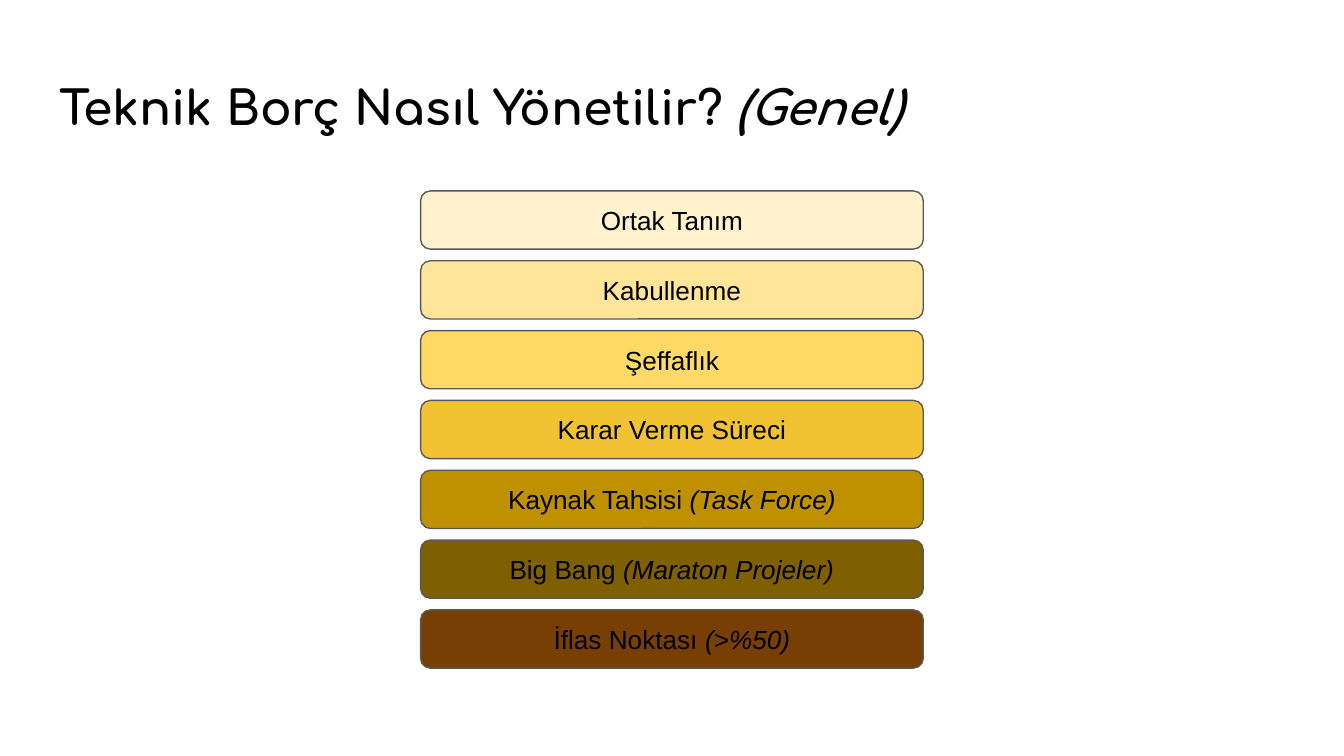
from pptx import Presentation
from pptx.dml.color import RGBColor
from pptx.enum.shapes import MSO_SHAPE
from pptx.enum.text import MSO_ANCHOR, PP_ALIGN
from pptx.util import Cm, Pt

STEPS = [
    ("Ortak Tanım", "", "FFF2CC"),
    ("Kabullenme", "", "FFE599"),
    ("Şeffaflık", "", "FFD966"),
    ("Karar Verme Süreci", "", "F1C232"),
    ("Kaynak Tahsisi ", "(Task Force)", "BF9000"),
    ("Big Bang ", "(Maraton Projeler)", "7F6000"),
    ("İflas Noktası ", "(>%50)", "783F04"),
]
FIRST_TOP = 3.61
STEP_PITCH = 1.32


def color(hex_string):
    return RGBColor.from_string(hex_string)


class SlideBuilder:
    title_font = "Comfortaa"
    body_font = "Arial"
    text_color = "000000"
    line_color = "595959"
    inset = Cm(0.25)

    def __init__(self, slide):
        self.slide = slide

    def set_text(self, shape, text, aside, font_name, size, bold=False):
        """Put text in the shape, followed by an aside in italics."""
        frame = shape.text_frame
        frame.word_wrap = True
        frame.margin_left = frame.margin_right = self.inset
        frame.margin_top = frame.margin_bottom = self.inset
        paragraph = frame.paragraphs[0]
        paragraph.text = text
        if aside:
            run = paragraph.add_run()
            run.text = aside
            run.font.italic = True
        for run in paragraph.runs:
            run.font.name = font_name
            run.font.size = Pt(size)
            run.font.bold = bold
            run.font.color.rgb = color(self.text_color)
        return paragraph

    def title(self, text, aside):
        box = self.slide.shapes.add_textbox(Cm(0.87), Cm(1.24), Cm(23.67), Cm(1.6))
        self.set_text(box, text, aside, self.title_font, 25.2, bold=True)

    def step(self, top, text, aside, fill):
        bar = self.slide.shapes.add_shape(
            MSO_SHAPE.ROUNDED_RECTANGLE, Cm(7.95), Cm(top), Cm(9.5), Cm(1.1)
        )
        bar.shadow.inherit = False
        bar.fill.solid()
        bar.fill.fore_color.rgb = color(fill)
        bar.line.color.rgb = color(self.line_color)
        bar.line.width = Pt(0.75)
        bar.text_frame.vertical_anchor = MSO_ANCHOR.MIDDLE
        paragraph = self.set_text(bar, text, aside, self.body_font, 14)
        paragraph.alignment = PP_ALIGN.CENTER


def main():
    presentation = Presentation()
    presentation.slide_width = Cm(25.4)
    presentation.slide_height = Cm(14.29)
    builder = SlideBuilder(presentation.slides.add_slide(presentation.slide_layouts[6]))
    builder.title("Teknik Borç Nasıl Yönetilir? ", "(Genel)")
    for index, (text, aside, fill) in enumerate(STEPS):
        builder.step(FIRST_TOP + index * STEP_PITCH, text, aside, fill)
    presentation.save("out.pptx")


if __name__ == "__main__":
    main()
